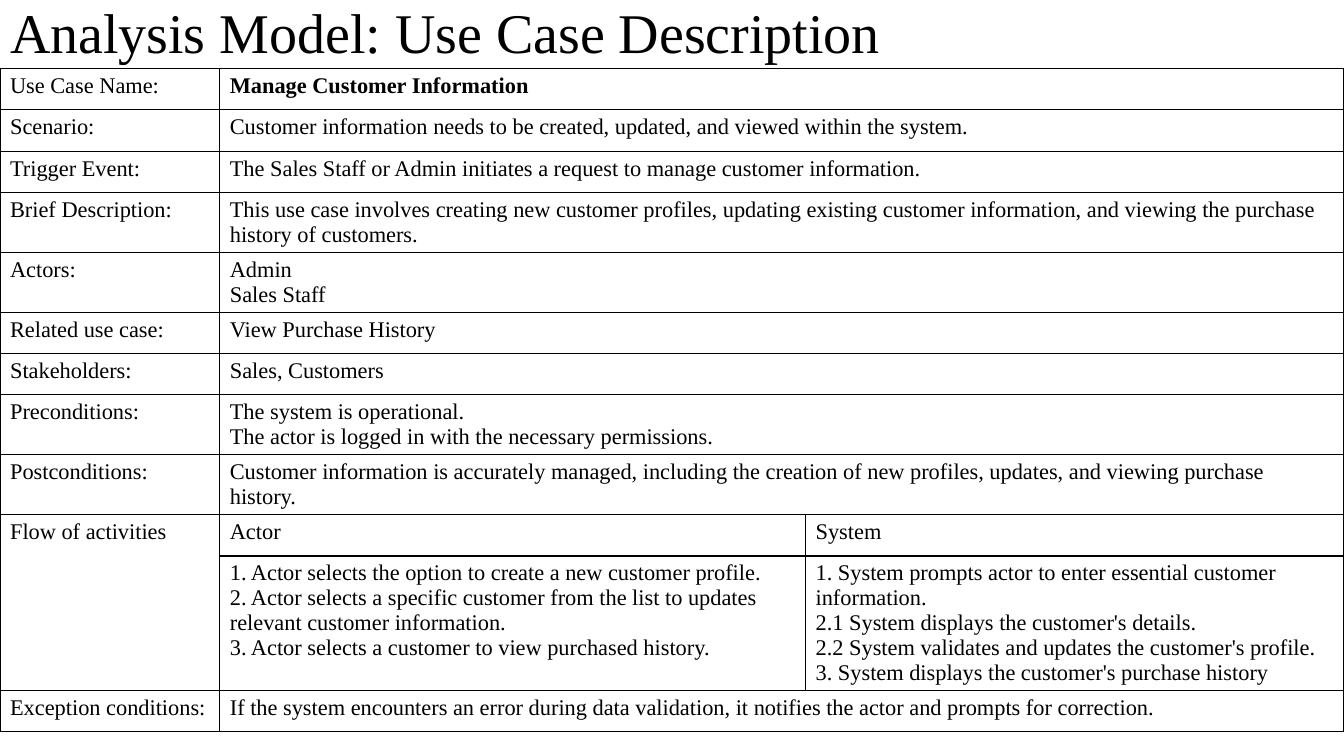
import lxml.etree
import pptx
import pptx.dml.color
import pptx.enum.text
import pptx.oxml.ns
import pptx.util

Inches = pptx.util.Inches
FONT = "Times New Roman"
BLACK = "000000"
COLUMN_WIDTHS = (2.18, 5.81, 5.34)
ROW_HEIGHT = 0.41

# Each row holds a label, then one or two cells given as lists of paragraphs.
USE_CASE_ROWS = [
    ("Use Case Name:", ["Manage Customer Information"]),
    ("Scenario:", ["Customer information needs to be created, updated, and viewed within the system."]),
    ("Trigger Event:", ["The Sales Staff or Admin initiates a request to manage customer information."]),
    ("Brief Description:", ["This use case involves creating new customer profiles, updating existing "
                            "customer information, and viewing the purchase history of customers."]),
    ("Actors:", ["Admin", "Sales Staff"]),
    ("Related use case:", ["View Purchase History"]),
    ("Stakeholders:", ["Sales, Customers"]),
    ("Preconditions:", ["The system is operational.",
                        "The actor is logged in with the necessary permissions."]),
    ("Postconditions:", ["Customer information is accurately managed, including the creation of new "
                         "profiles, updates, and viewing purchase history."]),
    ("Flow of activities", ["Actor"], ["System"]),
    (None,
     ["1. Actor selects the option to create a new customer profile.",
      "2. Actor selects a specific customer from the list to updates relevant customer information.",
      "3. Actor selects a customer to view purchased history."],
     ["1. System prompts actor to enter essential customer information.",
      "2.1 System displays the customer's details.",
      "2.2 System validates and updates the customer's profile.",
      "3. System displays the customer's purchase history"]),
    ("Exception conditions:", ["If the system encounters an error during data validation, it notifies "
                               "the actor and prompts for correction."]),
]


def color(hex_value):
    return pptx.dml.color.RGBColor.from_string(hex_value)


def add_run(paragraph, text, size, bold=False):
    run = paragraph.add_run()
    run.text = text
    run.font.name = FONT
    run.font.size = pptx.util.Pt(size)
    run.font.bold = bold
    run.font.color.rgb = color(BLACK)


def add_title(slide, text, left, top, width, height):
    title = slide.shapes.title
    title.left, title.top = Inches(left), Inches(top)
    title.width, title.height = Inches(width), Inches(height)
    frame = title.text_frame
    frame.word_wrap = True
    frame.auto_size = pptx.enum.text.MSO_AUTO_SIZE.NONE
    frame.vertical_anchor = pptx.enum.text.MSO_ANCHOR.MIDDLE
    paragraph = frame.paragraphs[0]
    paragraph.alignment = pptx.enum.text.PP_ALIGN.LEFT
    paragraph.line_spacing = 0.9
    add_run(paragraph, text, 40)


def add_borders(cell, hex_value, points):
    properties = cell._tc.get_or_add_tcPr()
    for position, side in enumerate(("lnL", "lnR", "lnT", "lnB")):
        line = lxml.etree.Element(pptx.oxml.ns.qn(f"a:{side}"), w=str(pptx.util.Pt(points)))
        fill = lxml.etree.SubElement(line, pptx.oxml.ns.qn("a:solidFill"))
        lxml.etree.SubElement(fill, pptx.oxml.ns.qn("a:srgbClr"), val=hex_value)
        properties.insert(position, line)


def fill_cell(cell, lines, bold=False):
    frame = cell.text_frame
    for index, line in enumerate(lines):
        paragraph = frame.add_paragraph() if index else frame.paragraphs[0]
        add_run(paragraph, line, 16, bold)


def add_use_case_table(slide, rows, left, top, width, height):
    """Merge the last two columns wherever a row has only one description."""
    shape = slide.shapes.add_table(len(rows), len(COLUMN_WIDTHS), Inches(left), Inches(top),
                                   Inches(width), Inches(height))
    table = shape.table
    table.first_row = table.horz_banding = False
    for column, column_width in zip(table.columns, COLUMN_WIDTHS):
        column.width = Inches(column_width)
    for row in table.rows:
        row.height = Inches(ROW_HEIGHT)
    shape.height = Inches(height)
    for cell in table.iter_cells():
        cell.fill.background()
        add_borders(cell, BLACK, 1)
    for row_index, (label, *descriptions) in enumerate(rows):
        if label is None:
            table.cell(row_index - 1, 0).merge(table.cell(row_index, 0))
        else:
            fill_cell(table.cell(row_index, 0), [label])
        if len(descriptions) == 1:
            table.cell(row_index, 1).merge(table.cell(row_index, 2))
        for column_index, lines in enumerate(descriptions, start=1):
            fill_cell(table.cell(row_index, column_index), lines, bold=row_index == 0)


def main():
    presentation = pptx.Presentation()
    presentation.slide_width, presentation.slide_height = Inches(13.33), Inches(7.5)
    slide = presentation.slides.add_slide(presentation.slide_layouts[5])
    add_title(slide, "Analysis Model: Use Case Description", 0, -0.07, 11.5, 0.84)
    add_use_case_table(slide, USE_CASE_ROWS, 0, 0.68, 13.33, 6.81)
    presentation.save("out.pptx")


if __name__ == "__main__":
    main()
